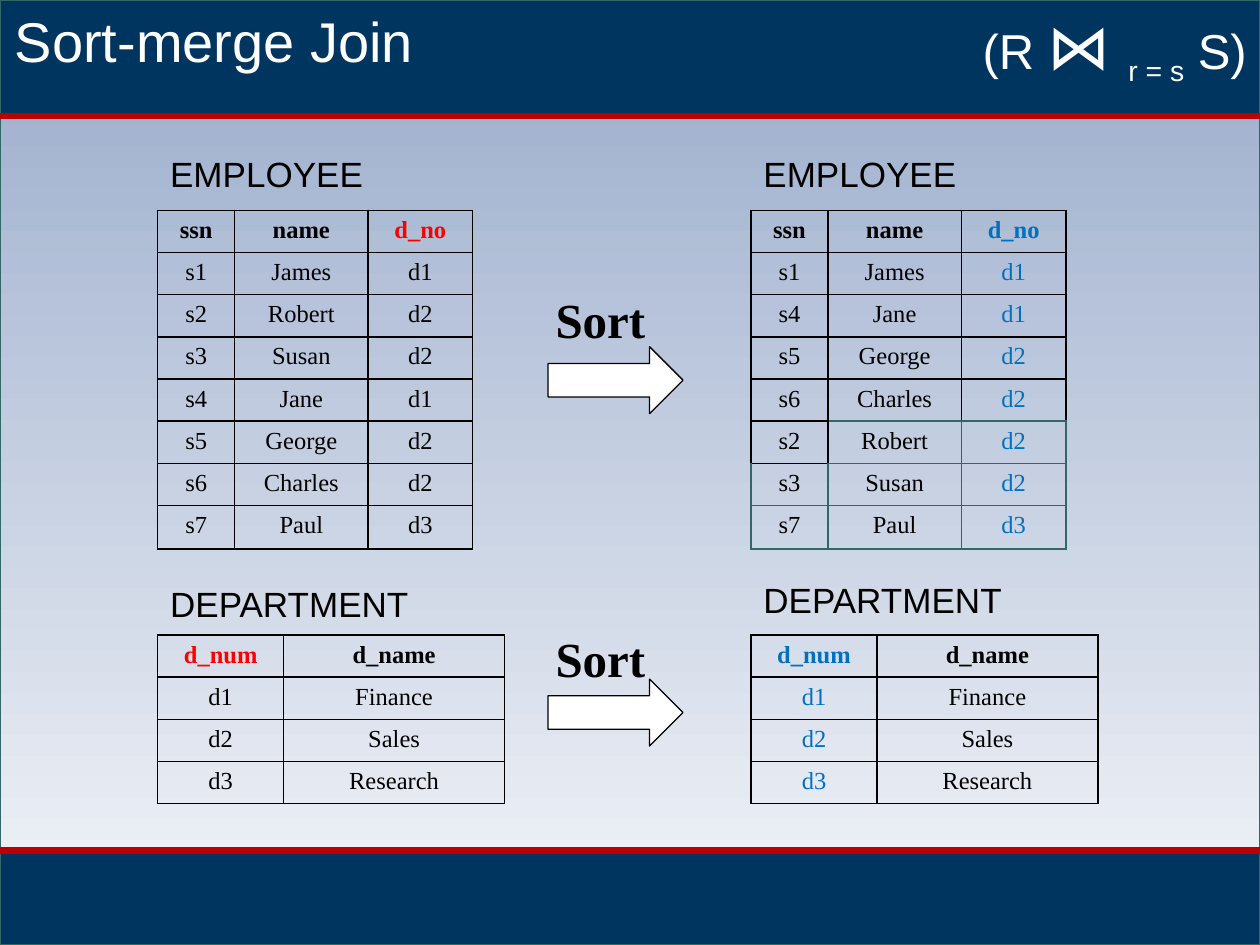
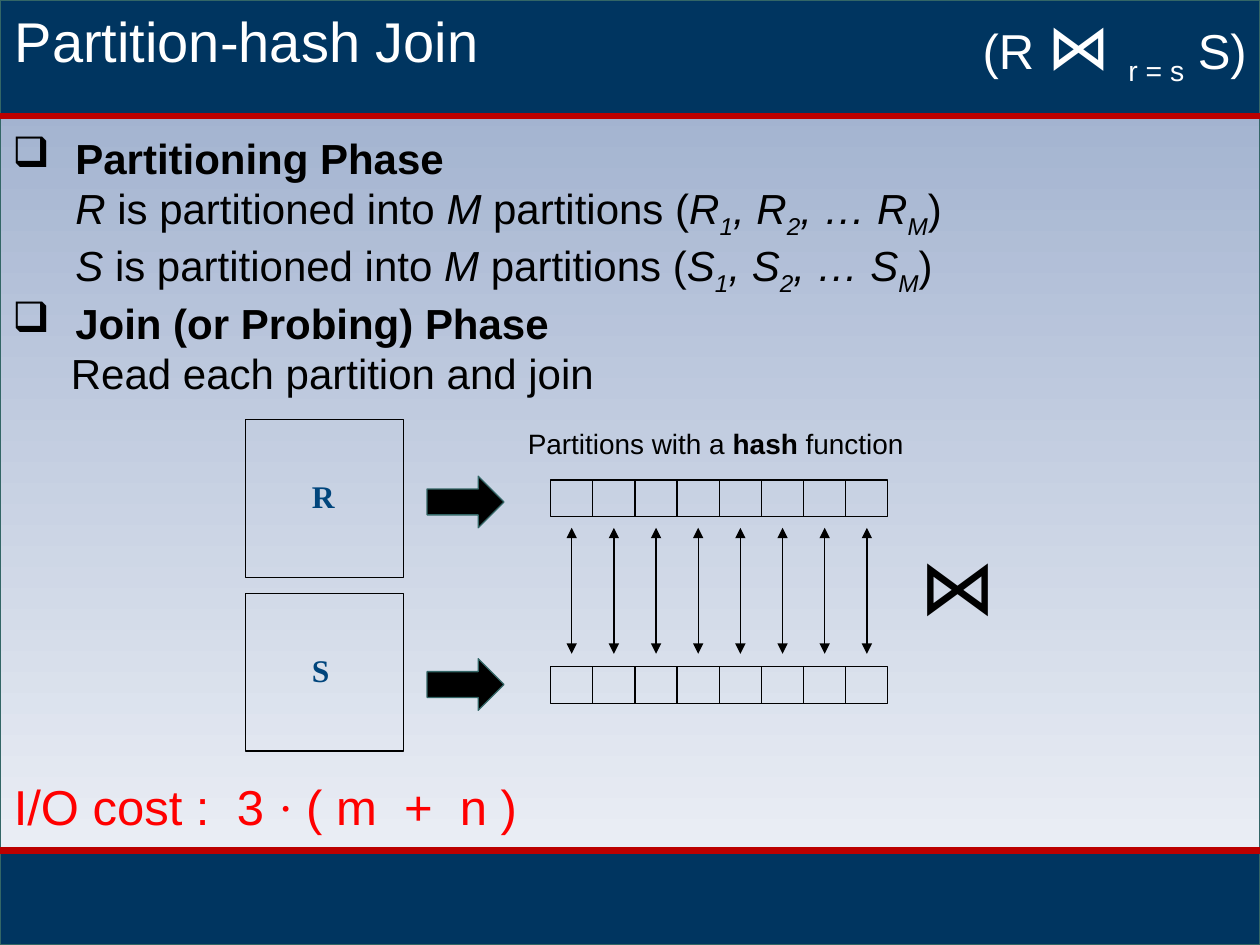
from dataclasses import dataclass

from lxml import etree
from pptx import Presentation
from pptx.dml import color
from pptx.enum import shapes, text
from pptx.oxml import ns
from pptx.util import Cm, Pt


@dataclass(frozen=True)
class Theme:
    navy: str = "003560"
    red_rule: str = "BC0000"
    teal: str = "336666"
    sky_top: str = "99ABCB"
    sky_bottom: str = "F3F5F9"
    black: str = "000000"
    white: str = "FFFFFF"
    red: str = "FF0000"
    sorted_blue: str = "0070C0"
    relation_blue: str = "00457C"
    sans: str = "Arial"
    serif: str = "Times New Roman"
    title: int = 32
    formula: int = 28
    formula_join: int = 36
    join: int = 44
    body: int = 24
    heading: int = 20
    relation: int = 18
    caption: int = 16
    cell: int = 14
    hairline: float = 0.75
    border: float = 1
    rule: float = 3.75


@dataclass(frozen=True)
class Box:
    left: float
    top: float
    width: float
    height: float

    def lengths(self):
        return [Cm(n) for n in (self.left, self.top, self.width, self.height)]

    def inner(self, left, top, width, height):
        return Box(self.left + left, self.top + top, width, height)


THEME = Theme()
PAGE = Box(0, 0, 25.4, 19.05)
HEADER = Box(0, 0, PAGE.width, 2.34)
FOOTER = Box(0, 17.15, PAGE.width, 1.9)
EMPLOYEE_COLUMNS = [1.55, 2.69, 2.11]
DEPARTMENT_COLUMNS = [2.54, 4.45]
ROW = 0.85
LAST_ROW = 0.88
EMPLOYEES = [
    ("s1", "James", "d1"), ("s2", "Robert", "d2"), ("s3", "Susan", "d2"),
    ("s4", "Jane", "d1"), ("s5", "George", "d2"), ("s6", "Charles", "d2"),
    ("s7", "Paul", "d3"),
]
SORTED_EMPLOYEES = [EMPLOYEES[i] for i in (0, 3, 4, 5, 1, 2, 6)]
EMPLOYEE_HEAD = ("ssn", "name", "d_no")
DEPARTMENTS = [("d_num", "d_name"), ("d1", "Finance"), ("d2", "Sales"), ("d3", "Research")]


def rgb(value):
    return color.RGBColor.from_string(value)


def add_span(para, words, size, ink=THEME.black, font=THEME.sans,
             bold=False, italic=False, lowered=False, tracking=0):
    span = para.add_run()
    span.text = words
    span.font.size = Pt(size)
    span.font.name = font
    span.font.bold = bold
    span.font.italic = italic
    span.font.color.rgb = rgb(ink)
    if lowered:
        span.font._element.set("baseline", "-25000")
    if tracking:
        span.font._element.set("spc", str(tracking))


def add_spans(para, spans, **style):
    for words, changes in spans:
        add_span(para, words, **{**style, **changes})


def add_frame(page, box, wrap=False):
    frame = page.shapes.add_textbox(*box.lengths()).text_frame
    frame.word_wrap = wrap
    frame.auto_size = text.MSO_AUTO_SIZE.SHAPE_TO_FIT_TEXT
    return frame


def add_text(page, box, words, wrap=False, **style):
    spans = [(words, {})] if isinstance(words, str) else words
    add_spans(add_frame(page, box, wrap).paragraphs[0], spans, **style)


def add_block(parent, box, kind=shapes.MSO_SHAPE.RECTANGLE, fill=None, line=THEME.black):
    block = parent.shapes.add_shape(kind, *box.lengths())
    block.shadow.inherit = False
    if fill:
        block.fill.solid()
        block.fill.fore_color.rgb = rgb(fill)
    else:
        block.fill.background()
    block.line.color.rgb = rgb(line)
    block.line.width = Pt(THEME.hairline)
    return block


def add_line(page, x1, y1, x2, y2, ink, width, arrows=False):
    line = page.shapes.add_connector(
        shapes.MSO_CONNECTOR.STRAIGHT, Cm(x1), Cm(y1), Cm(x2), Cm(y2))
    line.line.color.rgb = rgb(ink)
    line.line.width = Pt(width)
    if arrows:
        for end in ("a:headEnd", "a:tailEnd"):
            etree.SubElement(line.line._get_or_add_ln(), ns.qn(end), type="triangle")
    etree.SubElement(line._element.spPr, ns.qn("a:effectLst"))


def add_border(cell, side, ink):
    line = etree.SubElement(cell._tc.get_or_add_tcPr(), ns.qn(f"a:ln{side}"),
                            w=str(Pt(THEME.border)))
    fill = etree.SubElement(line, ns.qn("a:solidFill"))
    etree.SubElement(fill, ns.qn("a:srgbClr"), val=ink)


def add_relation(page, left, top, columns, rows, heights, key, head_ink=THEME.black,
                 key_ink=THEME.black, headed=True, edge=THEME.black, edges=None):
    box = Box(left, top, sum(columns), sum(heights))
    table = page.shapes.add_table(len(rows), len(columns), *box.lengths()).table
    table.first_row = table.horz_banding = False
    for column, width in zip(table.columns, columns):
        column.width = Cm(width)
    for r, (row, height) in enumerate(zip(rows, heights)):
        table.rows[r].height = Cm(height)
        is_head = headed and r == 0
        for c, words in enumerate(row):
            cell = table.cell(r, c)
            for side in "LRTB":
                add_border(cell, side, (edges or {}).get((r, c, side), edge))
            cell.fill.background()
            ink = THEME.black
            if c == key:
                ink = head_ink if is_head else key_ink
            para = cell.text_frame.paragraphs[0]
            para.alignment = text.PP_ALIGN.CENTER
            add_span(para, words, THEME.cell, ink, THEME.serif, bold=is_head)


def add_page(deck, title):
    page = deck.slides.add_slide(deck.slide_layouts[6])
    backdrop = add_block(page, PAGE, line=THEME.teal)
    backdrop.fill.gradient()
    backdrop.fill.gradient_angle = 270
    for stop, ink, position in zip(backdrop.fill.gradient_stops,
                                   (THEME.sky_top, THEME.sky_bottom), (0, 1)):
        stop.color.rgb = rgb(ink)
        stop.position = position
    for band in (FOOTER, HEADER):
        add_block(page, band, fill=THEME.navy, line=THEME.teal)
    for y in (HEADER.height, FOOTER.top):
        add_line(page, 0, y, PAGE.width, y, THEME.red_rule, THEME.rule)
    add_text(page, HEADER.inner(0.05, 0, 25.35, 1.63), title, wrap=True,
             size=THEME.title, ink=THEME.white)
    formula = [("(R ", {}), ("⋈ ", {"size": THEME.formula_join}),
               ("r = s", {"lowered": True}), (" S)", {})]
    add_text(page, HEADER.inner(19.56, 0, 5.84, 1.8), formula,
             size=THEME.formula, ink=THEME.white)
    return page


def add_headings(page, box, department_top):
    for words, top, width in (("EMPLOYEE", 0, 4.45), ("DEPARTMENT", department_top, 5.36)):
        add_text(page, box.inner(0, top, width, 1.12), words, size=THEME.heading)


def add_departments(page, box, **inks):
    add_relation(page, box.left, box.top + 9.85, DEPARTMENT_COLUMNS, DEPARTMENTS,
                 [ROW] * len(DEPARTMENTS), key=0, **inks)


def add_unsorted(page, box):
    add_headings(page, box, 8.66)
    rows = [EMPLOYEE_HEAD] + EMPLOYEES
    add_relation(page, box.left, box.top + 1.29, EMPLOYEE_COLUMNS, rows,
                 [ROW] * 7 + [LAST_ROW], key=2, head_ink=THEME.red)
    add_departments(page, box, head_ink=THEME.red)


def add_sorted(page, box):
    add_headings(page, box, 8.58)
    inks = {"head_ink": THEME.sorted_blue, "key_ink": THEME.sorted_blue}
    rows = [EMPLOYEE_HEAD] + SORTED_EMPLOYEES
    black_edges = {(0, 0, side): THEME.black for side in "LRTB"}
    black_edges.update({(0, 1, "L"): THEME.black, (1, 0, "T"): THEME.black})
    top = box.top + 1.29
    parts = (
        (rows[:5], [ROW] * 5, {}),
        (rows[5:7], [ROW] * 2, {"headed": False, "edge": THEME.teal, "edges": black_edges}),
        (rows[7:], [LAST_ROW], {"headed": False, "edge": THEME.teal}),
    )
    for part, heights, look in parts:
        add_relation(page, box.left, top, EMPLOYEE_COLUMNS, part, heights, key=2,
                     **inks, **look)
        top += sum(heights)
    add_departments(page, box, **inks)


def add_sort_step(page, box, arrow_drop):
    add_block(page, box.inner(0.1, arrow_drop, 2.72, 1.35),
              shapes.MSO_SHAPE.RIGHT_ARROW, fill=THEME.white)
    add_text(page, box.inner(0, 0, 2.34, 1.45), "Sort", size=THEME.formula,
             font=THEME.serif, bold=True)


def add_phases(page, box):
    italic, lowered = {"italic": True}, {"italic": True, "lowered": True}

    def partitioning(name):
        return [(name, italic), (" is partitioned into ", {}), ("M", italic),
                (" partitions (", {}), (name, italic), ("1", lowered),
                (f", {name}", italic), ("2", lowered), (f", … {name}", italic),
                ("M", lowered), (")", {})]

    bold = {"bold": True}
    lines = [
        ([("Partitioning Phase", bold)], 1.27, True),
        (partitioning("R"), 1.27, False),
        (partitioning("S"), 1.27, False),
        ([("Join (or Probing) Phase", bold)], 1.27, True),
        ([("Read each partition and join", {})], 1.18, False),
    ]
    frame = add_frame(page, box)
    for i, (spans, margin, bulleted) in enumerate(lines):
        para = frame.add_paragraph() if i else frame.paragraphs[0]
        layout = para._p.get_or_add_pPr()
        layout.set("marL", str(Cm(margin)))
        layout.set("indent", str(-Cm(margin) if bulleted else 0))
        if bulleted:
            etree.SubElement(layout, ns.qn("a:buChar"), char="❑")
        add_spans(para, spans, size=THEME.body)


def add_partitioned(page, box, name, arrow_top, cells_top, count, cell):
    add_block(page, box)
    add_text(page, box.inner(1.09, 1.04, 0.95, 1.02), name, size=THEME.relation,
             ink=THEME.relation_blue, font=THEME.serif, bold=True)
    add_block(page, box.inner(3.66, arrow_top, 1.55, 1.04),
              shapes.MSO_SHAPE.RIGHT_ARROW, fill=THEME.black, line=THEME.teal)
    strip = page.shapes.add_group_shape()
    for i in range(count):
        add_block(strip, box.inner(6.15 + i * cell, cells_top, cell, 0.74))


def add_hash_diagram(page, box):
    count, cell, side = 8, 0.85, 3.18
    add_partitioned(page, box.inner(0, 0, side, side), "R", 1.14, 1.22, count, cell)
    add_partitioned(page, box.inner(0, 3.5, side, side), "S", 1.32, 1.48, count, cell)
    caption = [("Partitions with a ", {}), ("hash", {"bold": True}), (" function", {})]
    add_text(page, box.inner(5.44, 0.02, 8.18, 0.94), caption, size=THEME.caption)
    add_text(page, box.inner(13.34, 2.26, 1.8, 2.13), "⋈", size=THEME.join)
    for i in range(count):
        x = box.left + 6.15 + (i + 0.5) * cell
        add_line(page, x, box.top + 2.18, x, box.top + 4.72, THEME.black,
                 THEME.hairline, arrows=True)


def add_cost(page, box):
    wide = (" ", {"tracking": 780})
    spans = [("I/O cost :", {}), wide, ("3 ", {}), ("· ", {"font": THEME.serif}),
             ("( m", {}), wide, ("+", {}), wide, ("n )", {})]
    add_text(page, box, spans, size=THEME.formula, ink=THEME.red)


def build_sort_merge(deck):
    page = add_page(deck, "Sort-merge Join")
    add_unsorted(page, Box(3.18, 2.95, 7, 13.25))
    add_sorted(page, Box(15.14, 2.95, 7, 13.25))
    add_sort_step(page, Box(10.95, 5.72, 2.82, 2.62), arrow_drop=1.27)
    add_sort_step(page, Box(10.95, 12.55, 2.82, 2.49), arrow_drop=1.14)


def build_partition_hash(deck):
    page = add_page(deck, "Partition-hash Join")
    add_phases(page, Box(0, 2.54, 19.58, 5.38))
    add_hash_diagram(page, Box(4.95, 8.46, 15.14, 6.68))
    add_cost(page, Box(0.03, 15.52, 10.77, 1.45))


def main():
    deck = Presentation()
    deck.slide_width, deck.slide_height = Cm(PAGE.width), Cm(PAGE.height)
    build_sort_merge(deck)
    build_partition_hash(deck)
    deck.save("out.pptx")


if __name__ == "__main__":
    main()
